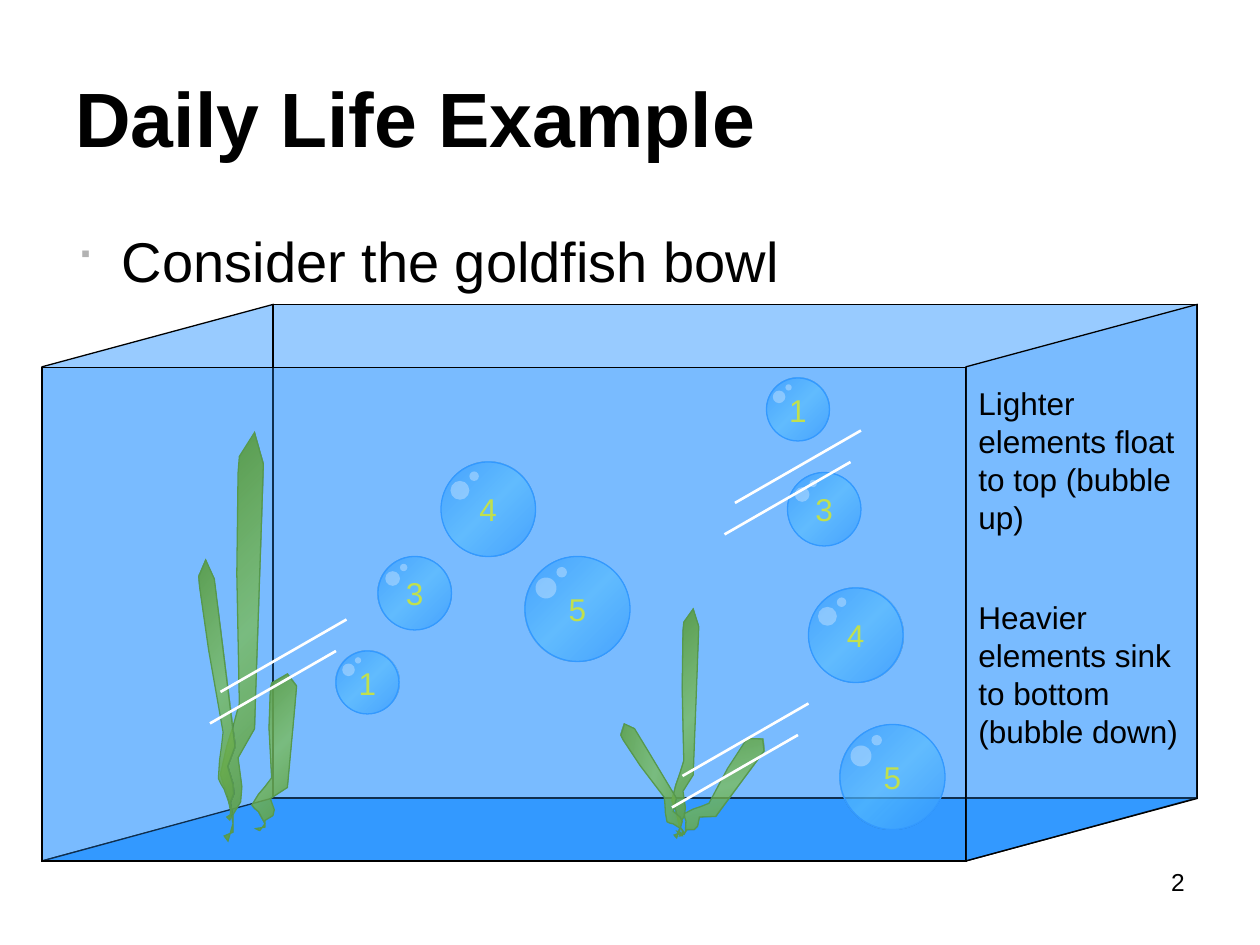
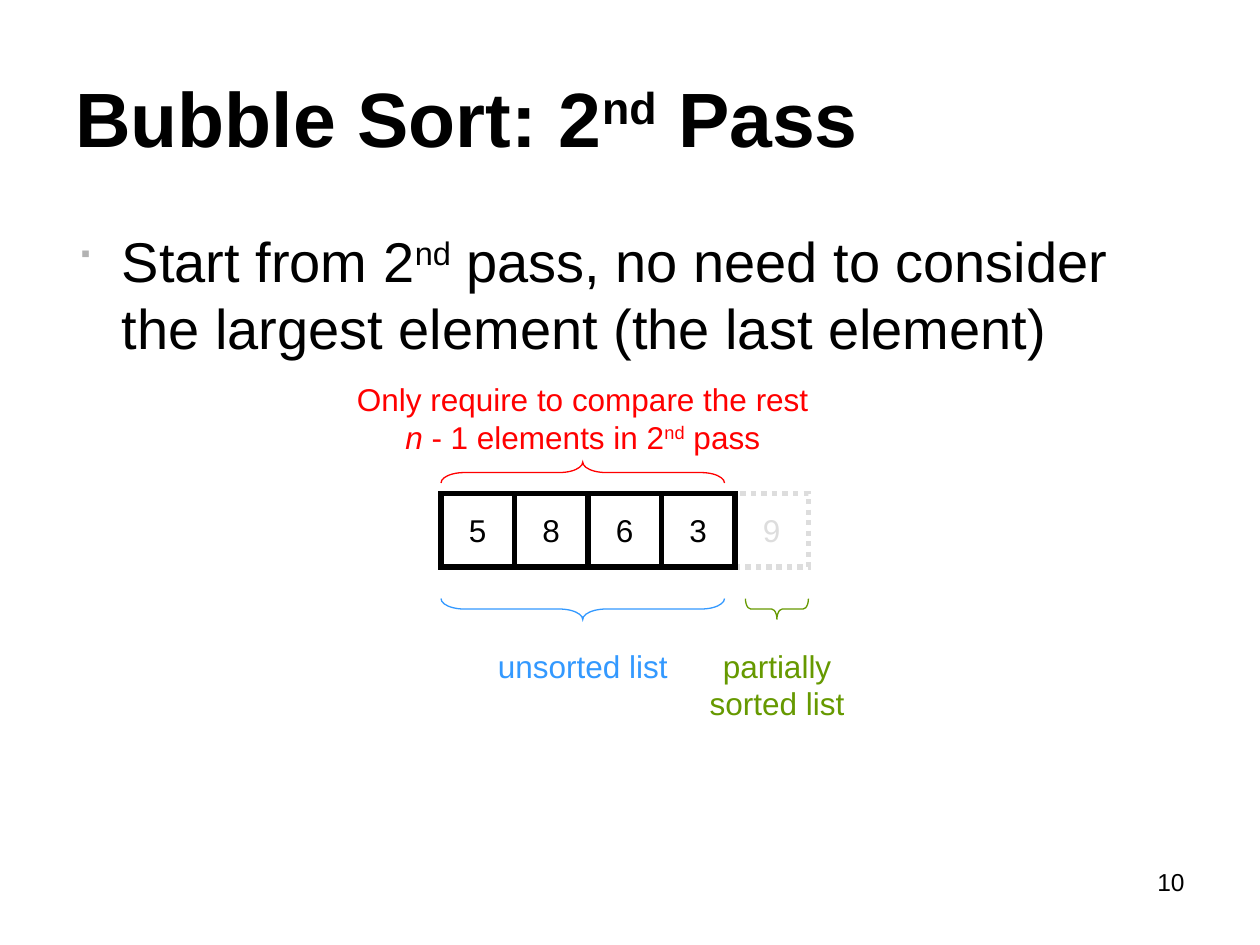
from lxml.etree import SubElement
from pptx import Presentation
from pptx.dml.color import RGBColor
from pptx.enum.dml import MSO_LINE
from pptx.enum.shapes import MSO_CONNECTOR, MSO_SHAPE
from pptx.enum.text import MSO_ANCHOR, PP_ALIGN
from pptx.oxml.ns import qn
from pptx.util import Inches, Pt

COLORS = {
    "black": "000000", "white": "FFFFFF", "bullet": "B2B2B2", "faded": "DDDDDD",
    "water": "3399FF", "shine": "66CCFF", "number": "FFFF00",
    "leaf": "669900", "leaf_light": "99CC00", "red": "FF0000",
}
BUBBLE_FILL = [(0, "water", 73), (50, "shine", 67), (100, "water", 73)]
LEAF_FILL = [(0, "leaf", 100), (50, "leaf_light", 71), (100, "leaf", 100)]
BACK_GLASS = [(0, "water", 50)]
FRONT_GLASS = [(0, "water", 30)]
GLINT = [(0, "white", 50)]
PAPER = [(0, "white", 100)]

deck = Presentation()
deck.slide_width, deck.slide_height = Inches(10), Inches(7.5)
unit = deck.slide_width // 120  # the grid has 120 columns and 90 rows


def draw(page, kind, cells, stops=(), line=None, weight=0.75, turn=0, flip=None, adjust=()):
    """Draw a preset, an outline (list of 0-1 points) or a text box (None).

    cells is left, top, width, height as seen on the slide after a quarter turn.
    """
    left, top, width, height = cells
    if turn % 180 == 90:
        left, top = left + (width - height) / 2, top + (height - width) / 2
        width, height = height, width
    frame = [int(unit * cell) for cell in (left, top, width, height)]
    if kind is None:
        return page.shapes.add_textbox(*frame)
    if isinstance(kind, list):
        points = [(int(unit * (left + x * width)), int(unit * (top + y * height))) for x, y in kind]
        builder = page.shapes.build_freeform(*points[0])
        builder.add_line_segments(points[1:], close=True)
        shape = builder.convert_to_shape()
    else:
        shape = page.shapes.add_shape(kind, *frame)
    shape.shadow.inherit = False
    shape.rotation = turn
    properties = shape._element.spPr
    if flip:
        properties.find(qn("a:xfrm")).set(flip, "1")
    for index, value in enumerate(adjust):
        shape.adjustments[index] = value

    if len(stops) > 1:
        shape.fill.gradient()
        shape.fill.gradient_angle = 315
        stop_list = properties.find(".//" + qn("a:gsLst"))
        for old_stop in list(stop_list):
            stop_list.remove(old_stop)
        for position, color, alpha in stops:
            stop = SubElement(stop_list, qn("a:gs"), pos=str(position * 1000))
            tone = SubElement(stop, qn("a:srgbClr"), val=COLORS[color])
            SubElement(tone, qn("a:alpha"), val=str(alpha * 1000))
    elif stops:
        _, color, alpha = stops[0]
        shape.fill.solid()
        shape.fill.fore_color.rgb = RGBColor.from_string(COLORS[color])
        tone = properties.find(qn("a:solidFill")).find(qn("a:srgbClr"))
        SubElement(tone, qn("a:alpha"), val=str(alpha * 1000))
    else:
        shape.fill.background()

    if line:
        shape.line.color.rgb = RGBColor.from_string(COLORS[line])
        shape.line.width = Pt(weight)
        SubElement(properties.find(qn("a:ln")), qn("a:miter"), lim="800000")
    else:
        shape.line.fill.background()
    return shape


def write(box, spans, size=18, color="black", align=PP_ALIGN.LEFT,
          anchor=MSO_ANCHOR.TOP, wrap=True, bullet=None, bold=False):
    """Fill a box with one paragraph; each span is (text, style)."""
    box.text_frame.word_wrap = wrap
    box.text_frame.vertical_anchor = anchor
    para = box.text_frame.paragraphs[0]
    para.alignment = align
    if bullet:
        settings = para._p.get_or_add_pPr()
        settings.set("marL", str(Inches(0.37)))
        settings.set("indent", str(-Inches(0.37)))
        SubElement(SubElement(settings, qn("a:buClr")), qn("a:srgbClr"), val=COLORS["bullet"])
        SubElement(settings, qn("a:buSzPct"), val="80000")
        SubElement(settings, qn("a:buFont"), typeface="Wingdings")
        SubElement(settings, qn("a:buChar"), char=bullet)
    for text, style in spans:
        if text == "\n":
            para.add_line_break()
            continue
        span = para.add_run()
        span.text = text
        font_format = {"name": "Arial", "size": Pt(size), "bold": bold, "italic": style == "italic"}
        for name, value in font_format.items():
            setattr(span.font, name, value)
        span.font.color.rgb = RGBColor.from_string(COLORS[color])
        if style == "super":
            span.font._element.set("baseline", "30000")


# Title, bullet and page number on both slides
contents = [
    ([("Daily Life Example", "")], [("Consider the goldfish bowl", "")], "2"),
    ([("Bubble Sort: 2", ""), ("nd", "super"), (" Pass", "")],
     [("Start from 2", ""), ("nd", "super"),
      (" pass, no need to consider the largest element (the last element)", "")], "10"),
]
pages = []
for title, body, number in contents:
    page = deck.slides.add_slide(deck.slide_layouts[6])
    write(draw(page, None, (86, 82, 28, 6.2)), [(number, "")], size=14, align=PP_ALIGN.RIGHT)
    write(draw(page, None, (6, 3.6, 108, 15)), title, size=44, anchor=MSO_ANCHOR.MIDDLE, bold=True)
    write(draw(page, None, (6, 21, 108, 59.4)), body, size=32, bullet="■")
    pages.append(page)
bowl_page, pass_page = pages

# Back of the tank
side = {"line": "black", "turn": 270, "flip": "flipH", "adjust": [0.27]}
draw(bowl_page, MSO_SHAPE.PARALLELOGRAM, (4, 29, 22, 53), BACK_GLASS, **side)
draw(bowl_page, MSO_SHAPE.FLOWCHART_DATA, (4, 76, 110, 6), [(0, "water", 100)], "black")
draw(bowl_page, MSO_SHAPE.RECTANGLE, (26, 29, 88, 47), BACK_GLASS, "black")

# Seaweed: one outline in a 40 by 324 box, stretched for each leaf
leaf_points = [
    (6, 324), (10, 310), (5, 285), (2, 278), (0, 271), (5, 249), (10, 233), (15, 215),
    (13, 112), (14, 32), (15, 19), (27, 0), (34, 25), (32, 87), (28, 205), (27, 235),
    (14, 258), (17, 281), (16, 293), (10, 303), (10, 317), (3, 320),
]
leaf_outline = [(x / 40, y / 324) for x, y in leaf_points]
leaves = [
    ((21, 41.2, 4.8, 38.9), 0), ((19.5, 53.3, 3, 24.8), 351.1), ((24, 64.2, 5, 14.9), 0),
    ((64, 58, 3, 21.8), 0), ((67, 69, 4, 11.9), 31.2), ((61, 68.3, 3, 11.9), 325),
]
for cells, turn in leaves:
    draw(bowl_page, leaf_outline, cells, LEAF_FILL, "leaf", turn=turn)

# Bubbles: the size grows with the number
diameters = {"1": 6, "3": 7, "4": 9, "5": 10}
centered = {"align": PP_ALIGN.CENTER, "anchor": MSO_ANCHOR.MIDDLE, "wrap": False}
bubbles = [
    ("4", 42, 44), ("3", 36, 53), ("1", 32, 62), ("5", 50, 53),
    ("4", 77, 56), ("3", 75, 45), ("1", 73, 36), ("5", 80, 69),
]
for number, left, top in bubbles:
    size = diameters[number]
    bubble = draw(bowl_page, MSO_SHAPE.OVAL, (left, top, size, size), BUBBLE_FILL, "water")
    write(bubble, [(number, "")], color="number", **centered)
    for right, down, share in [(0.1, 0.2, 0.2), (0.3, 0.1, 0.1)]:
        glint = (left + right * size, top + down * size, share * size, share * size)
        draw(bowl_page, MSO_SHAPE.OVAL, glint, GLINT)

# Front of the tank with reflections in pairs
draw(bowl_page, MSO_SHAPE.RECTANGLE, (4, 35, 88, 47), FRONT_GLASS, "black")
draw(bowl_page, MSO_SHAPE.PARALLELOGRAM, (92, 29, 22, 53), FRONT_GLASS, **side)
for column, row in [(82, 41), (77, 67), (33, 59)]:
    for x, y in [(column, row), (column - 1, row + 3)]:
        ends = [int(unit * cell) for cell in (x, y, x - 12, y + 6.9)]
        reflection = bowl_page.shapes.add_connector(MSO_CONNECTOR.STRAIGHT, *ends)
        reflection.line.color.rgb = RGBColor.from_string(COLORS["white"])
        reflection.line.width = Pt(1.5)
        SubElement(reflection._element.spPr, qn("a:effectLst"))

write(draw(bowl_page, None, (92, 36, 22, 15.6)),
      [("Lighter elements float to top (bubble up)", "")])
write(draw(bowl_page, None, (92, 56.4, 23, 15.6)),
      [("Heavier elements sink to bottom (bubble down)", "")])

# Array cells, the sorted one first so that the black outline lies over it
array_left, array_top, cell_size = 42, 47, 7
for index, number in [(4, "9"), (0, "5"), (1, "8"), (2, "6"), (3, "3")]:
    color = "faded" if number == "9" else "black"
    cells = (array_left + index * cell_size, array_top, cell_size, cell_size)
    cell = draw(pass_page, MSO_SHAPE.RECTANGLE, cells, PAPER, color, weight=3)
    if number == "9":
        cell.line.dash_style = MSO_LINE.ROUND_DOT
    write(cell, [(number, "")], color=color, **centered)

# Braces with their labels
braces = [
    ((42, 44, 27, 2), "red", 270, None, 1.12, (32, 35.6, 47, 8.4),
     [("Only require to compare the rest ", ""), ("n", "italic"),
      (" - 1 elements in 2", ""), ("nd", "super"), (" pass", "")]),
    ((42, 57, 27, 2), "water", 90, "flipV", 1.12, (42, 61, 27, 4.8), [("unsorted list", "")]),
    ((71, 57, 6, 2), "leaf", 90, "flipV", 0.25, (61, 61, 26, 8.4),
     [("partially", ""), ("\n", ""), ("sorted list", "")]),
]
for cells, color, turn, flip, curl, label_cells, spans in braces:
    draw(pass_page, MSO_SHAPE.RIGHT_BRACE, cells, line=color, turn=turn, flip=flip, adjust=[curl, 0.5])
    write(draw(pass_page, None, label_cells), spans, color=color, align=PP_ALIGN.CENTER)

deck.save("out.pptx")
